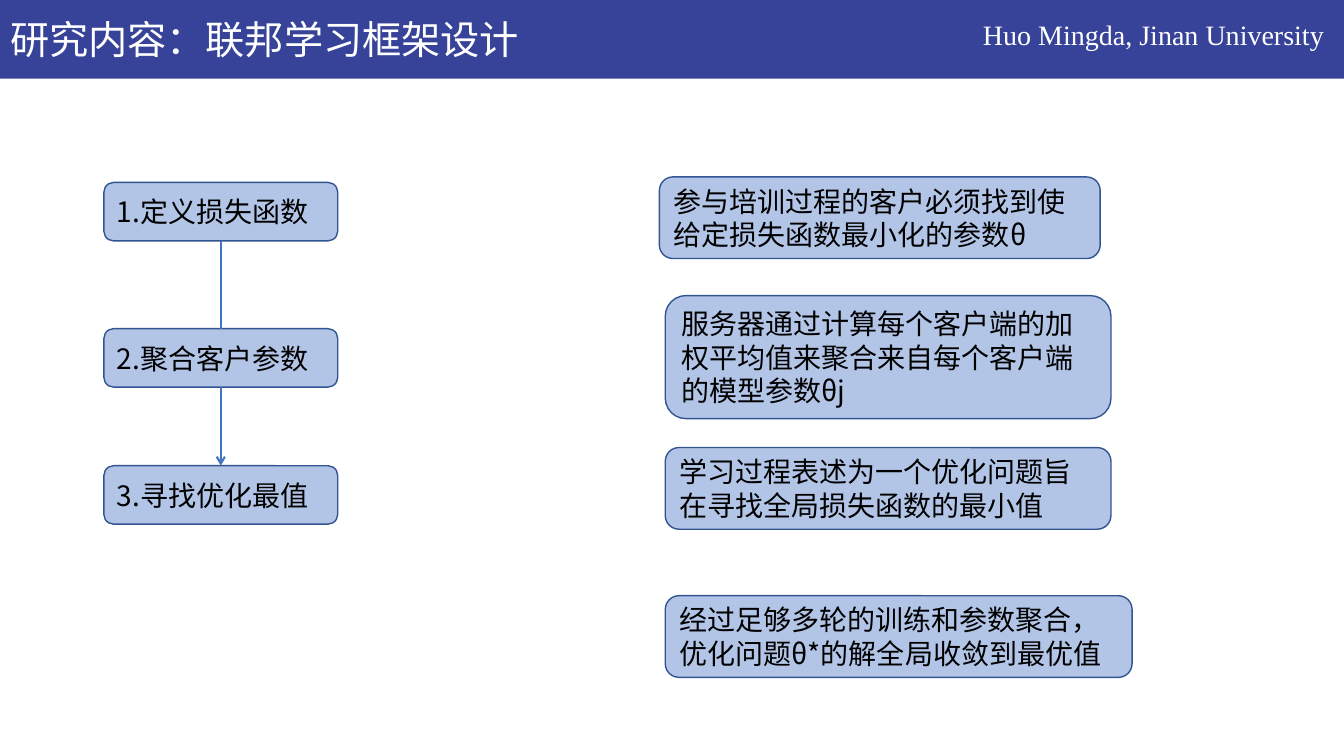
from lxml import etree
from pptx import Presentation
from pptx import util as u
from pptx.dml.color import RGBColor
from pptx.enum import shapes, text
from pptx.oxml.ns import qn


def color(code):
    return RGBColor.from_string(code)


class Deck:
    """Draws styled elements, placed in percent of the slide's size."""

    sans, serif = "Noto Sans CJK SC", "Times New Roman"
    band, fill, edge, link = "374398", "8FAADC", "325491", "4472C4"
    ink, white = "000000", "FFFFFF"

    def __init__(self):
        self.prs = Presentation()
        self.prs.slide_width = u.Inches(13.33)
        self.prs.slide_height = u.Inches(7.5)
        self.slide = self.prs.slides.add_slide(self.prs.slide_layouts[6])
        self.items = self.slide.shapes

    def place(self, *spots):
        sizes = (self.prs.slide_width, self.prs.slide_height) * 2
        return [int(size * spot / 100) for size, spot in zip(sizes, spots)]

    def letter(self, frame, words, size, face, ink):
        par = frame.paragraphs[0]
        par.text = words
        par.alignment = text.PP_ALIGN.LEFT
        par.font.size = u.Pt(size)
        par.font.name = face
        par.font.color.rgb = color(ink)
        props = par._p.pPr.find(qn("a:defRPr"))
        etree.SubElement(props, qn("a:ea"), typeface=self.sans)

    def shape(self, kind, spot, fill):
        item = self.items.add_shape(kind, *self.place(*spot))
        item.shadow.inherit = False
        item.fill.solid()
        item.fill.fore_color.rgb = color(fill)
        return item

    def bar(self, *spot):
        item = self.shape(shapes.MSO_SHAPE.RECTANGLE, spot, self.band)
        item.line.fill.background()

    def label(self, words, size, *spot, inset=True):
        frame = self.items.add_textbox(*self.place(*spot)).text_frame
        frame.word_wrap = True
        frame.auto_size = text.MSO_AUTO_SIZE.SHAPE_TO_FIT_TEXT
        if not inset:
            frame.margin_left = frame.margin_right = 0
            frame.margin_top = frame.margin_bottom = 0
        self.letter(frame, words, size, self.serif, self.white)

    def card(self, words, *spot):
        item = self.shape(shapes.MSO_SHAPE.ROUNDED_RECTANGLE, spot, self.fill)
        tint = item._element.spPr.find(qn("a:solidFill"))[0]
        etree.SubElement(tint, qn("a:alpha"), val="68000")
        item.line.color.rgb = color(self.edge)
        item.line.width = u.Pt(1)
        frame = item.text_frame
        frame.word_wrap = True
        frame.vertical_anchor = text.MSO_ANCHOR.MIDDLE
        self.letter(frame, words, 20, self.sans, self.ink)

    def join(self, x, top, end, arrow):
        item = self.items.add_connector(
            shapes.MSO_CONNECTOR.STRAIGHT, *self.place(x, top, x, end))
        item.line.color.rgb = color(self.link)
        item.line.width = u.Pt(1.5)
        props = item._element.spPr
        if arrow:
            etree.SubElement(props.find(qn("a:ln")), qn("a:tailEnd"), type="arrow")
        etree.SubElement(props, qn("a:effectLst"))


def main():
    deck = Deck()
    deck.bar(0, 0, 100, 10.4)
    deck.label("研究内容：联邦学习框架设计", 28, 0.75, 2, 39.53, 6.27, inset=False)
    deck.label("Huo Mingda, Jinan University", 20, 72.39, 1.6, 28.13, 5.87)

    notes = [
        ("参与培训过程的客户必须找到使给定损失函数最小化的参数θ", 49.06, 23.4, 32.8, 10.8),
        ("服务器通过计算每个客户端的加权平均值来聚合来自每个客户端的模型参数θj",
         49.5, 39.1, 33.16, 16.27),
        ("学习过程表述为一个优化问题旨在寻找全局损失函数的最小值", 49.5, 59.2, 33.16, 10.8),
        ("经过足够多轮的训练和参数聚合，优化问题θ*的解全局收敛到最优值",
         49.5, 78.8, 34.73, 10.8),
    ]
    for note in notes:
        deck.card(*note)

    left, width, high = 7.73, 17.4, 7.73
    steps = ["定义损失函数", "聚合客户参数", "寻找优化最值"]
    tops = [24.13, 43.47, 61.6]
    for rank, (step, top) in enumerate(zip(steps, tops), 1):
        deck.card(f"{rank}.{step}", left, top, width, high)
    for top, end in zip(tops, tops[1:]):
        deck.join(left + width / 2, top + high, end, end == tops[-1])

    deck.prs.save("out.pptx")


if __name__ == "__main__":
    main()
